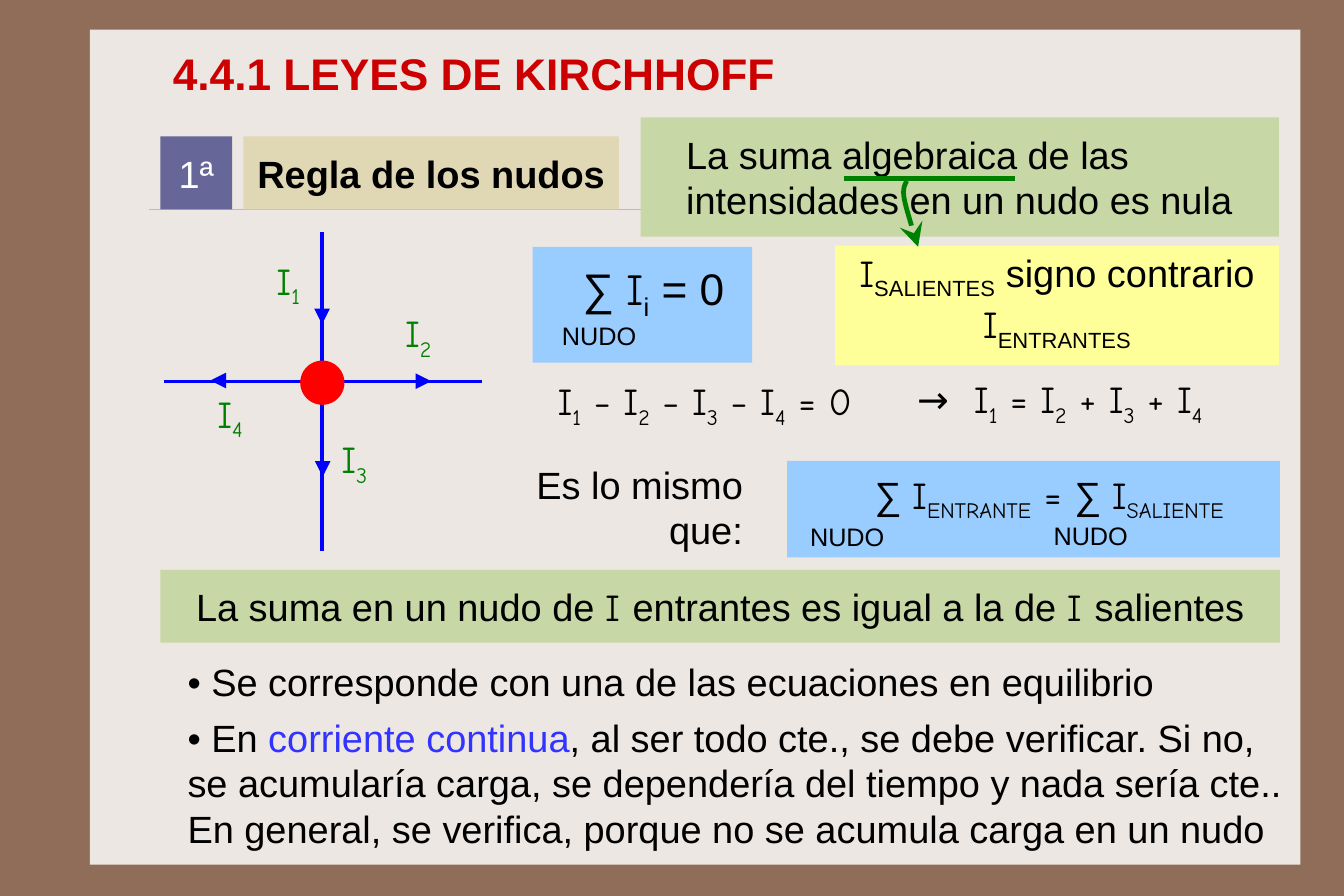
from dataclasses import dataclass

from lxml import etree
from pptx import Presentation
from pptx import util as u
from pptx.dml.color import RGBColor
from pptx.enum import shapes, text
from pptx.oxml import ns

COLORS = {
    "frame": "906D58", "panel": "EDE7E3", "rule": "CBBD83", "sand": "E0D7B5",
    "violet": "666699", "sage": "C7D7A5", "yellow": "FFFF99", "sky": "99CCFF",
    "wire": "0000FF", "node": "FF0000", "green": "008000", "title": "CC0000",
    "accent": "3333FF", "black": "000000", "white": "FFFFFF",
}
SANS, HAND = "Arial", "Comic Neue"
LEFT, CENTER, RIGHT = text.PP_ALIGN.LEFT, text.PP_ALIGN.CENTER, text.PP_ALIGN.RIGHT
INSETS = (8.64, 8.64, 8.64, 8.64)


@dataclass(frozen=True)
class Span:
    """A stretch of text with one format."""
    text: str
    font: str = SANS
    size: float = 24
    color: str = "black"
    bold: bool = False
    sub: bool = False


@dataclass(frozen=True)
class Block:
    """A box with one paragraph, filled or plain."""
    left: float
    top: float
    width: float
    height: float
    spans: tuple[Span, ...] = ()
    fill: str | None = None
    align: text.PP_ALIGN = LEFT
    insets: tuple[float, float, float, float] = INSETS
    tab: float | None = None


@dataclass(frozen=True)
class Stroke:
    """A straight line, with or without an arrowhead."""
    start: tuple[float, float]
    end: tuple[float, float]
    color: str = "wire"
    width: float = 2
    tail: str | None = None


def rgb(name: str) -> RGBColor:
    """Look up a named colour."""
    return RGBColor.from_string(COLORS[name])


def add_span(para, content: str, *, font: str, size: float, color: str, bold: bool, sub: bool) -> None:
    """Append formatted text to a paragraph."""
    span = para.add_run()
    span.text = content
    span.font.name, span.font.size, span.font.bold = font, u.Pt(size), bold
    span.font.color.rgb = rgb(color)
    if sub:
        span.font._element.set("baseline", "-25000")


def fill_para(para, spans: tuple[Span, ...], align: text.PP_ALIGN = LEFT, before: float = 0) -> None:
    """Write spans into a paragraph."""
    para.alignment = align
    para.space_before = u.Pt(before)
    for span in spans:
        add_span(para, span.text, font=span.font, size=span.size,
                 color=span.color, bold=span.bold, sub=span.sub)


def set_frame(box, insets: tuple[float, float, float, float]) -> None:
    """Set wrapping, anchor and insets of a box."""
    frame = box.text_frame
    frame.word_wrap = True
    frame.auto_size = text.MSO_AUTO_SIZE.NONE
    frame.vertical_anchor = text.MSO_ANCHOR.MIDDLE
    frame.margin_left, frame.margin_top, frame.margin_right, frame.margin_bottom = map(u.Pt, insets)


def place(box, left: float, top: float, width: float, height: float) -> None:
    """Move and size a box."""
    box.left, box.top, box.width, box.height = map(u.Pt, (left, top, width, height))


def add_filled(page, kind, bounds: tuple[float, ...], fill: str):
    """Add a flat shape without outline."""
    box = page.shapes.add_shape(kind, *map(u.Pt, bounds))
    box.shadow.inherit = False
    box.fill.solid()
    box.fill.fore_color.rgb = rgb(fill)
    box.line.fill.background()
    return box


def add_block(page, block: Block) -> None:
    """Draw a block."""
    bounds = (block.left, block.top, block.width, block.height)
    if block.fill:
        box = add_filled(page, shapes.MSO_SHAPE.RECTANGLE, bounds, block.fill)
    else:
        box = page.shapes.add_textbox(*map(u.Pt, bounds))
    if not block.spans:
        return
    set_frame(box, block.insets)
    para = box.text_frame.paragraphs[0]
    if block.tab:
        tabs = etree.SubElement(para._p.get_or_add_pPr(), ns.qn("a:tabLst"))
        etree.SubElement(tabs, ns.qn("a:tab"), pos=str(u.Pt(block.tab)), algn="l")
    fill_para(para, block.spans, block.align)


def style_line(item, color: str, width: float, tail: str | None) -> None:
    """Format an outline and its arrowhead, without shadow."""
    item.line.color.rgb = rgb(color)
    item.line.width = u.Pt(width)
    properties = item.element.spPr
    if tail:
        outline = properties.find(ns.qn("a:ln"))
        etree.SubElement(outline, ns.qn("a:tailEnd"), type=tail, w="lg", len="lg")
    etree.SubElement(properties, ns.qn("a:effectLst"))


def add_stroke(page, stroke: Stroke) -> None:
    """Draw a straight line."""
    line = page.shapes.add_connector(shapes.MSO_CONNECTOR.STRAIGHT,
                                     *map(u.Pt, stroke.start + stroke.end))
    style_line(line, stroke.color, stroke.width, stroke.tail)


def bezier(points: tuple[tuple[float, float], ...], steps: int = 10) -> list[tuple[int, int]]:
    """Sample a cubic curve after its start."""
    def at(axis: int, t: float) -> int:
        """Evaluate one coordinate."""
        a, b, c, d = (point[axis] for point in points)
        return u.Pt((1 - t) ** 3 * a + 3 * (1 - t) ** 2 * t * b + 3 * (1 - t) * t * t * c + t ** 3 * d)
    return [(at(0, i / steps), at(1, i / steps)) for i in range(1, steps + 1)]


def add_curved_arrow(page) -> None:
    """Draw the arrow from the underlined word to the yellow box."""
    start, middle, end = (573.8, 114.5), (572.4, 126.7), (581, 156.2)
    builder = page.shapes.build_freeform(u.Pt(start[0]), u.Pt(start[1]))
    builder.add_line_segments(bezier((start, (572.4, 117.4), (571, 119.5), middle))
                              + bezier((middle, (573.8, 133.2), (577.4, 144.7), end)), close=False)
    arrow = builder.convert_to_shape()
    arrow.fill.background()
    style_line(arrow, "green", 3, "stealth")


def current(index: str, color: str = "black", before: str = "") -> tuple[Span, ...]:
    """Give a current symbol with its index."""
    return Span(before + "I", HAND, color=color), Span(index, HAND, color=color, sub=True)


def currents(sign: str, first: int) -> tuple[Span, ...]:
    """Chain the currents up to the fourth with a sign."""
    return sum((current(str(i), before=f" {sign} ") for i in range(first, 5)), ())


def node_label(left: float, top: float) -> Block:
    """Give the small caption below a sum sign."""
    return Block(left, top, 70, 36.7, (Span("NUDO", size=16),))


HEADER = (
    Block(154.1, 86.4, 237.6, 46.1, (Span("Regla de los nudos", bold=True),), "sand", CENTER, (4, 8.64, 4, 8.64)),
    Block(101.5, 86.4, 45.4, 46.1, (Span("1ª", color="white"),), "violet", CENTER),
    Block(405.4, 74.2, 403.9, 75.6, (Span("La suma algebraica de las intensidades en un nudo es nula"),),
          "sage", insets=(28.8, 8.64, 8.64, 8.64)),
    Block(528.5, 155.5, 280.8, 75.6, (
        Span("I", HAND), Span("SALIENTES", sub=True), Span(" signo contrario "),
        Span("I", HAND), Span("ENTRANTES", sub=True)), "yellow", CENTER, (8.64, 5.76, 8.64, 11.52)),
)
WIRES = (
    Stroke((103.7, 241.2), (305.3, 241.2)), Stroke((203.8, 146.9), (203.8, 348.5)),
    Stroke((203.8, 181.4), (203.8, 205.2), width=1, tail="triangle"),
    Stroke((204.2, 278.6), (204.2, 301.7), width=1, tail="triangle"),
    Stroke((156.2, 240.8), (133.2, 240.8), width=1, tail="triangle"),
    Stroke((249.8, 241.2), (272.9, 241.2), width=1, tail="triangle"),
)
LABELS = (("1", 166.3, 156.2), ("2", 247.7, 189.4), ("3", 207.4, 269.3), ("4", 128.9, 240.5))
FORMULAS = (
    Block(344.2, 232.6, 231.8, 46.1, current("1") + currents("−", 2) + (Span(" = 0", HAND),)),
    Block(571.7, 231.1, 224, 46.1, current("1", before="→\t") + current("2", before=" = ")
          + currents("+", 3), tab=36),
    Block(318.2, 283, 160.6, 75.6, (Span("Es lo mismo que:"),), align=RIGHT),
    Block(337, 156.2, 139, 73.4, fill="sky"),
    Block(360, 159.1, 116, 51.1, (Span("∑ ", size=28), Span("I", HAND, 28),
                                  Span("i", size=28, sub=True), Span(" = 0", size=28))),
    node_label(347, 193.7),
    Block(498.2, 291.6, 311.8, 61.2, fill="sky"),
    Block(517, 291.6, 293.8, 46.1, (Span("∑ "),) + current("ENTRANTE") + (Span(" = ", HAND), Span("∑ "))
          + current("SALIENTE"), align=CENTER),
    node_label(504, 321.1),
    node_label(658.1, 320.4),
    Block(101.5, 360.7, 708.5, 46.1, (
        Span("La suma en un nudo de "), Span("I ", HAND), Span("entrantes es igual a la de "),
        Span("I ", HAND), Span("salientes")), "sage", CENTER),
)
REMARKS = (
    (Span("• Se corresponde con una de las ecuaciones en equilibrio"),),
    (Span("• En "), Span("corriente continua", color="accent"),
     Span(", al ser todo cte., se debe verificar. Si no, se acumularía carga, se dependería del tiempo "
          "y nada sería cte.. En general, se verifica, porque no se acumula carga en un nudo")),
)


def fill_placeholders(page) -> None:
    """Place and write the title and the remarks above the panel."""
    title, body = page.shapes.title, page.placeholders[1]
    for box in (title, body):
        box.element.getparent().append(box.element)
    place(title, 101.5, 25.2, 671, 41.8)
    set_frame(title, (7.92, 3.6, 7.92, 3.6))
    fill_para(title.text_frame.paragraphs[0],
              (Span("4.4.1 LEYES DE KIRCHHOFF", size=28, color="title", bold=True),))
    place(body, 110, 408, 713, 139)
    set_frame(body, INSETS)
    for index, spans in enumerate(REMARKS):
        para = body.text_frame.add_paragraph() if index else body.text_frame.paragraphs[0]
        properties = para._p.get_or_add_pPr()
        properties.set("marL", "0")
        properties.set("indent", "0")
        etree.SubElement(properties, ns.qn("a:buNone"))
        fill_para(para, spans, before=6.5 * index)


def main() -> None:
    """Build the slide on Kirchhoff's first law."""
    deck = Presentation()
    deck.slide_width, deck.slide_height = u.Pt(850.5), u.Pt(567)
    page = deck.slides.add_slide(deck.slide_layouts[1])
    page.background.fill.solid()
    page.background.fill.fore_color.rgb = rgb("frame")
    add_block(page, Block(56.9, 18.7, 766.1, 528.5, fill="panel"))
    add_stroke(page, Stroke((94.3, 132.5), (807.8, 132.5), "rule", 0.25))
    for block in HEADER:
        add_block(page, block)
    for wire in WIRES:
        add_stroke(page, wire)
    add_filled(page, shapes.MSO_SHAPE.OVAL, (190, 228.2, 28, 28), "node")
    for index, left, top in LABELS:
        add_block(page, Block(left, top, 44, 46.1, current(index, "green")))
    for block in FORMULAS:
        add_block(page, block)
    add_stroke(page, Stroke((534.2, 113), (642.2, 113), "green", 3))
    add_curved_arrow(page)
    fill_placeholders(page)
    deck.save("out.pptx")


if __name__ == "__main__":
    main()
